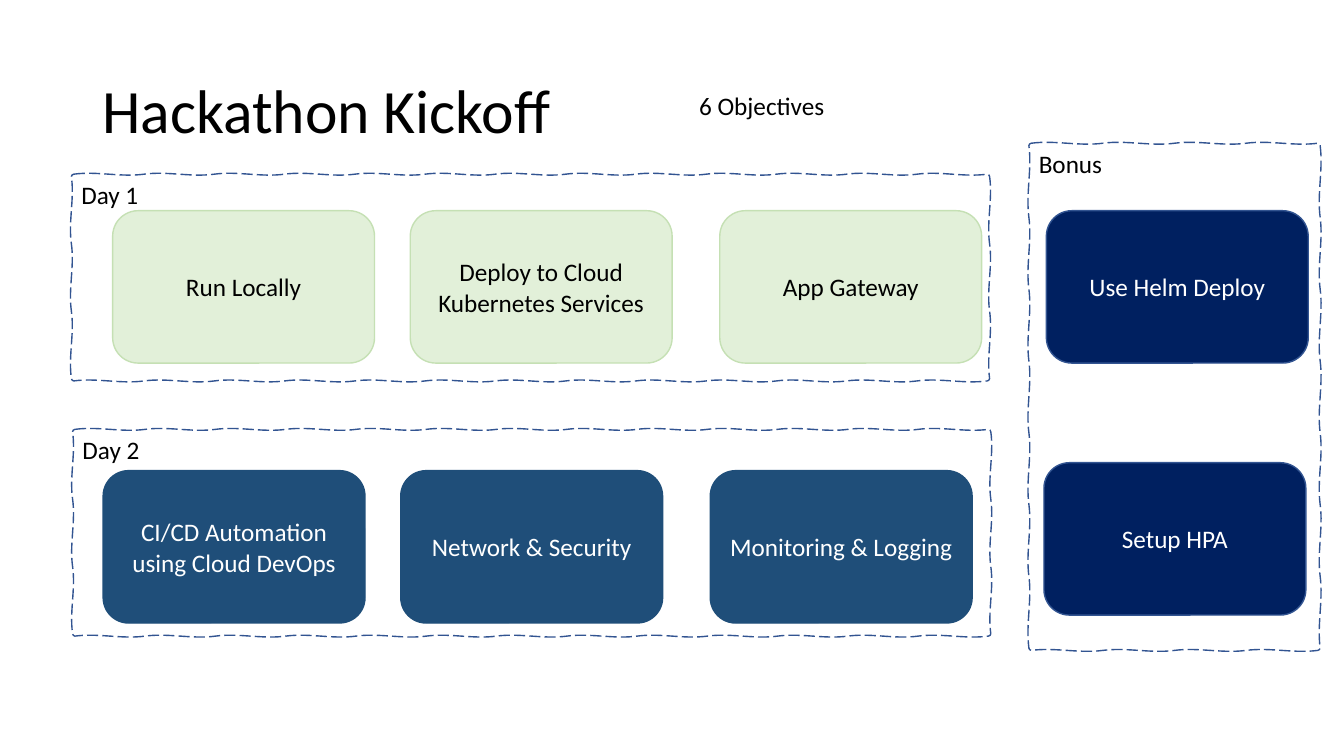
"""Build the hackathon kickoff slide with its two days and bonus objectives."""
import math
from dataclasses import dataclass

import lxml.etree
import pptx
import pptx.dml.color
import pptx.enum.dml
import pptx.enum.shapes
import pptx.enum.text
import pptx.oxml.ns
import pptx.shapes.autoshape
import pptx.slide
import pptx.util

Cm = pptx.util.Cm
Pt = pptx.util.Pt
RGBColor = pptx.dml.color.RGBColor
PP_ALIGN = pptx.enum.text.PP_ALIGN
MSO_ANCHOR = pptx.enum.text.MSO_ANCHOR
qn = pptx.oxml.ns.qn
Point = tuple[float, float]


@dataclass(frozen=True)
class Theme:
    """Colours, font and type sizes of the slide."""

    font: str = "Calibri"
    title_size: int = 44
    body_size: int = 18
    dark_text: str = "000000"
    light_text: str = "FFFFFF"
    outline: str = "325491"
    day_one_fill: str = "E2F0D9"
    day_one_line: str = "C5E0B4"
    day_two_fill: str = "1F4E79"
    bonus_fill: str = "002060"


@dataclass(frozen=True)
class Box:
    """A rectangle in centimetres."""

    left: float
    top: float
    width: float
    height: float


@dataclass(frozen=True)
class CardStyle:
    """The colours of a card."""

    fill: str
    line: str
    text: str


@dataclass(frozen=True)
class Card:
    """An objective at its place on the slide."""

    text: str
    left: float
    top: float
    style: CardStyle


@dataclass(frozen=True)
class Frame:
    """A labelled, hand-drawn outline."""

    label: str
    box: Box


THEME = Theme()
DAY_ONE = CardStyle(THEME.day_one_fill, THEME.day_one_line, THEME.dark_text)
DAY_TWO = CardStyle(THEME.day_two_fill, THEME.day_two_fill, THEME.light_text)
BONUS = CardStyle(THEME.bonus_fill, THEME.outline, THEME.light_text)

CARD_WIDTH, CARD_HEIGHT = 6.6, 3.84
COLUMN_OFFSETS = (0, 7.5, 15.3)
WAVE_LENGTH, WOBBLE, CORNER = 1.85, 0.08, 0.06


def card_row(texts: tuple[str, ...], left: float, top: float, style: CardStyle) -> list[Card]:
    """Place the cards of one day on the shared columns."""
    return [Card(text, left + offset, top, style) for text, offset in zip(texts, COLUMN_OFFSETS)]


CARDS = [
    *card_row(("Run Locally", "Deploy to Cloud Kubernetes Services", "App Gateway"), 2.84, 5.31, DAY_ONE),
    *card_row(
        ("CI/CD Automation\nusing Cloud DevOps", "Network & Security", "Monitoring & Logging"),
        2.6, 11.86, DAY_TWO,
    ),
    Card("Use Helm Deploy", 26.37, 5.31, BONUS),
    Card("Setup HPA", 26.31, 11.66, BONUS),
]
FRAMES = [
    Frame("Day 1", Box(1.8, 4.39, 23.14, 5.21)),
    Frame("Day 2", Box(1.83, 10.82, 23.14, 5.21)),
    Frame("Bonus", Box(25.93, 3.61, 7.34, 12.78)),
]


def write_text(
    shape: pptx.shapes.autoshape.Shape,
    text: str,
    size: int,
    color: str,
    alignment: PP_ALIGN = PP_ALIGN.LEFT,
    anchor: MSO_ANCHOR = MSO_ANCHOR.TOP,
    line_spacing: float = 1.0,
) -> None:
    """Fill a shape with text and format every run."""
    text_frame = shape.text_frame
    text_frame.text = text
    text_frame.word_wrap = True
    text_frame.vertical_anchor = anchor
    for paragraph in text_frame.paragraphs:
        paragraph.alignment = alignment
        paragraph.line_spacing = line_spacing
        for run in paragraph.runs:
            run.font.name = THEME.font
            run.font.size = Pt(size)
            run.font.color.rgb = RGBColor.from_string(color)


def set_outline(shape: pptx.shapes.autoshape.Shape, color: str) -> None:
    """Give a shape a thin line and no shadow."""
    shape.shadow.inherit = False
    shape.line.color.rgb = RGBColor.from_string(color)
    shape.line.width = Pt(1)


def add_card(slide: pptx.slide.Slide, card: Card) -> None:
    """Draw one objective as a rounded card."""
    shape = slide.shapes.add_shape(
        pptx.enum.shapes.MSO_SHAPE.ROUNDED_RECTANGLE,
        Cm(card.left), Cm(card.top), Cm(CARD_WIDTH), Cm(CARD_HEIGHT),
    )
    set_outline(shape, card.style.line)
    shape.fill.solid()
    shape.fill.fore_color.rgb = RGBColor.from_string(card.style.fill)
    write_text(shape, card.text, THEME.body_size, card.style.text, PP_ALIGN.CENTER, MSO_ANCHOR.MIDDLE)


def wavy_curves(corners: list[Point]) -> list[tuple[Point, Point, Point]]:
    """Return the Bezier curves of a rippling rectangle with rounded corners."""
    curves = []
    for index, (x1, y1) in enumerate(corners):
        x2, y2 = corners[(index + 1) % len(corners)]
        length = math.dist((x1, y1), (x2, y2))
        along_x, along_y = (x2 - x1) / length, (y2 - y1) / length

        def place(distance: float, ripple: float = 0) -> Point:
            """Return the point at a distance along the side."""
            return x1 + along_x * distance - along_y * ripple, y1 + along_y * distance + along_x * ripple

        waves = round(length / WAVE_LENGTH)
        step = (length - 2 * CORNER) / waves
        for wave in range(waves):
            start = CORNER + wave * step
            curves.append((place(start + step / 3, -WOBBLE), place(start + step * 2 / 3, WOBBLE), place(start + step)))
        curves.append((place(length - CORNER / 2), place(length, CORNER / 2), place(length, CORNER)))
    return curves


def add_frame(slide: pptx.slide.Slide, frame: Frame) -> None:
    """Draw a dashed hand-drawn frame with its label."""
    box = frame.box
    corners = [(0, 0), (box.width, 0), (box.width, box.height), (0, box.height)]
    start, *rest = [(Cm(box.left + x), Cm(box.top + y)) for x, y in corners]
    builder = slide.shapes.build_freeform(*start)
    builder.add_line_segments(rest, close=True)
    shape = builder.convert_to_shape()
    outline = next(shape.element.iter(qn("a:path")))
    for segment in list(outline):
        outline.remove(segment)
    curves = wavy_curves(corners)
    for tag, points in [("a:moveTo", curves[-1][-1:]), *(("a:cubicBezTo", curve) for curve in curves)]:
        segment = lxml.etree.SubElement(outline, qn(tag))
        for x, y in points:
            lxml.etree.SubElement(segment, qn("a:pt"), x=str(int(Cm(x))), y=str(int(Cm(y))))
    lxml.etree.SubElement(outline, qn("a:close"))
    set_outline(shape, THEME.outline)
    shape.line.dash_style = pptx.enum.dml.MSO_LINE.LONG_DASH
    shape.fill.background()
    write_text(shape, frame.label, THEME.body_size, THEME.dark_text)


def add_text_box(slide: pptx.slide.Slide, box: Box) -> pptx.shapes.autoshape.Shape:
    """Add an empty text box."""
    return slide.shapes.add_textbox(Cm(box.left), Cm(box.top), Cm(box.width), Cm(box.height))


def main() -> None:
    """Build and save the presentation."""
    presentation = pptx.Presentation()
    presentation.slide_width, presentation.slide_height = Cm(33.87), Cm(19.05)
    slide = presentation.slides.add_slide(presentation.slide_layouts[6])
    title = add_text_box(slide, Box(2.33, 1.02, 29.21, 3.68))
    write_text(title, "Hackathon Kickoff", THEME.title_size, THEME.dark_text, anchor=MSO_ANCHOR.MIDDLE, line_spacing=0.9)
    for card in CARDS:
        add_card(slide, card)
    objectives = add_text_box(slide, Box(17.37, 2.16, 3.68, 1.02))
    write_text(objectives, "6 Objectives", THEME.body_size, THEME.dark_text)
    objectives.text_frame.word_wrap = False
    for frame in FRAMES:
        add_frame(slide, frame)
    presentation.save("out.pptx")


if __name__ == "__main__":
    main()
